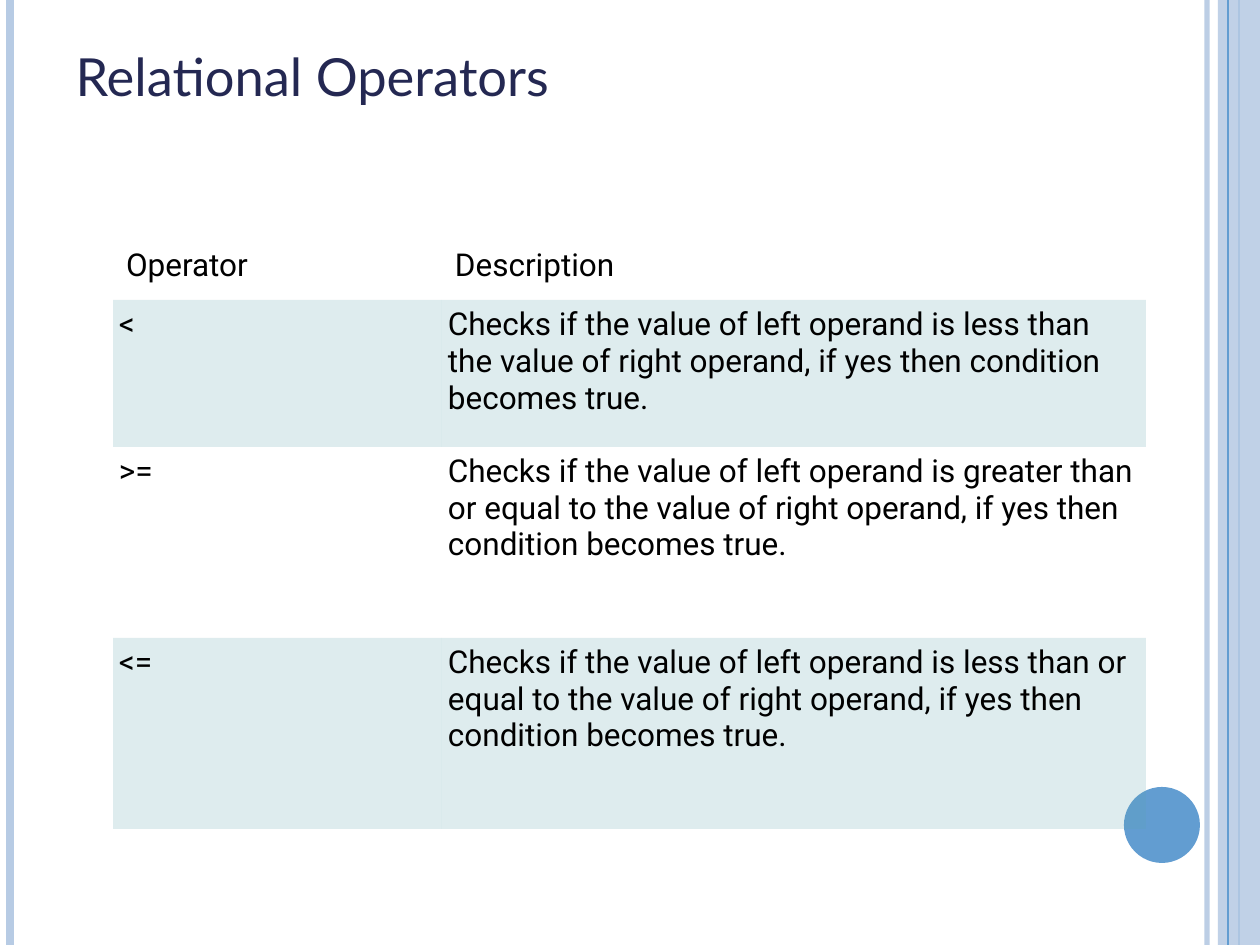
"""Build the Relational Operators slide with its striped side borders and operator table."""
from lxml.etree import SubElement
from pptx import Presentation
from pptx.dml.color import RGBColor
from pptx.enum.shapes import MSO_CONNECTOR as CONNECTOR, MSO_SHAPE as SHAPE
from pptx.enum.text import MSO_ANCHOR as ANCHOR, PP_ALIGN as ALIGN
from pptx.oxml.ns import qn
from pptx.util import Emu, Pt

SCALE = 914400 / 126
WIDTH, HEIGHT = 1260, 945
NAVY = RGBColor(0x24, 0x28, 0x52)
BLACK = RGBColor(0x00, 0x00, 0x00)
PALE_BLUE = RGBColor(0xB7, 0xCB, 0xE4)
BLUE = RGBColor(0x62, 0x9D, 0xD1)
TEAL = RGBColor(0x5A, 0xA2, 0xAE)
PLAIN_STYLE = "{2D5ABB26-0587-4C30-8999-92F81FD0307C}"

COLUMN_WIDTHS = (329, 704)
ROW_HEIGHTS = (59, 147, 191, 191)
OPERATORS = (
    ("Operator", "Description"),
    ("<", "Checks if the value of left operand is less than the value of right "
          "operand, if yes then condition becomes true."),
    (">=", "Checks if the value of left operand is greater than or equal to the value "
           "of right operand, if yes then condition becomes true."),
    ("<=", "Checks if the value of left operand is less than or equal to the value "
           "of right operand, if yes then condition becomes true."),
)


def px(length):
    return Emu(round(length * SCALE))


def set_opacity(element, percent):
    for color in element.iter(qn("a:srgbClr")):
        SubElement(color, qn("a:alpha"), val=str(percent * 1000))


def write_text(frame, text, *, font, size, color):
    frame.word_wrap = True
    paragraph = frame.paragraphs[0]
    paragraph.alignment = ALIGN.LEFT
    run = paragraph.add_run()
    run.text = text
    run.font.name = font
    run.font.size = Pt(size)
    run.font.color.rgb = color


def add_stripe(slide, x, color, weight, opacity=100):
    stripe = slide.shapes.add_connector(CONNECTOR.STRAIGHT, px(x), 0, px(x), px(HEIGHT))
    stripe.line.color.rgb = color
    stripe.line.width = Pt(weight)
    set_opacity(stripe.line._ln, opacity)
    SubElement(stripe._element.spPr, qn("a:effectLst"))


def add_block(slide, kind, box, color, opacity=100):
    block = slide.shapes.add_shape(kind, *map(px, box))
    block.shadow.inherit = False
    block.fill.solid()
    block.fill.fore_color.rgb = color
    block.line.fill.background()
    set_opacity(block._element.spPr, opacity)


def add_title(slide, text):
    title = slide.shapes.title
    title.left, title.top, title.width, title.height = map(px, (63, 38, 1029, 157))
    title.text_frame.vertical_anchor = ANCHOR.TOP
    write_text(title.text_frame, text, font="Lato", size=30, color=NAVY)


def fill_cell(cell, text, is_header, is_shaded):
    cell.margin_left = cell.margin_right = px(13 if is_header else 6)
    cell.margin_top = cell.margin_bottom = px(6)
    cell.vertical_anchor = ANCHOR.TOP
    if is_shaded:
        cell.fill.solid()
        cell.fill.fore_color.rgb = TEAL
        set_opacity(cell._tc.tcPr, 20)
    else:
        cell.fill.background()
    write_text(cell.text_frame, text, font="Roboto", size=18, color=BLACK)


def add_operator_table(slide):
    size = sum(COLUMN_WIDTHS), sum(ROW_HEIGHTS)
    frame = slide.shapes.add_table(len(ROW_HEIGHTS), len(COLUMN_WIDTHS),
                                   *map(px, (113, 241, *size)))
    table = frame.table
    table.first_row = table.horz_banding = False
    table._tbl.tblPr.find(qn("a:tableStyleId")).text = PLAIN_STYLE
    for column, width in zip(table.columns, COLUMN_WIDTHS):
        column.width = px(width)
    for index, (row, height) in enumerate(zip(table.rows, ROW_HEIGHTS)):
        row.height = px(height)
        for cell, text in zip(row.cells, OPERATORS[index]):
            fill_cell(cell, text, is_header=index == 0, is_shaded=index % 2 == 1)


def main():
    deck = Presentation()
    deck.slide_width, deck.slide_height = px(WIDTH), px(HEIGHT)
    slide = deck.slides.add_slide(deck.slide_layouts[5])
    add_stripe(slide, 1207, PALE_BLUE, 3, opacity=93)
    add_stripe(slide, 10, PALE_BLUE, 4.5)
    add_stripe(slide, 1239, BLUE, 1.5)
    add_block(slide, SHAPE.RECTANGLE, (1218, 0, 42, HEIGHT), PALE_BLUE, opacity=87)
    add_stripe(slide, 1228, BLUE, 0.75)
    add_block(slide, SHAPE.OVAL, (1124, 787, 76, 76), BLUE)
    add_title(slide, "Relational Operators")
    add_operator_table(slide)
    deck.save("out.pptx")


if __name__ == "__main__":
    main()
